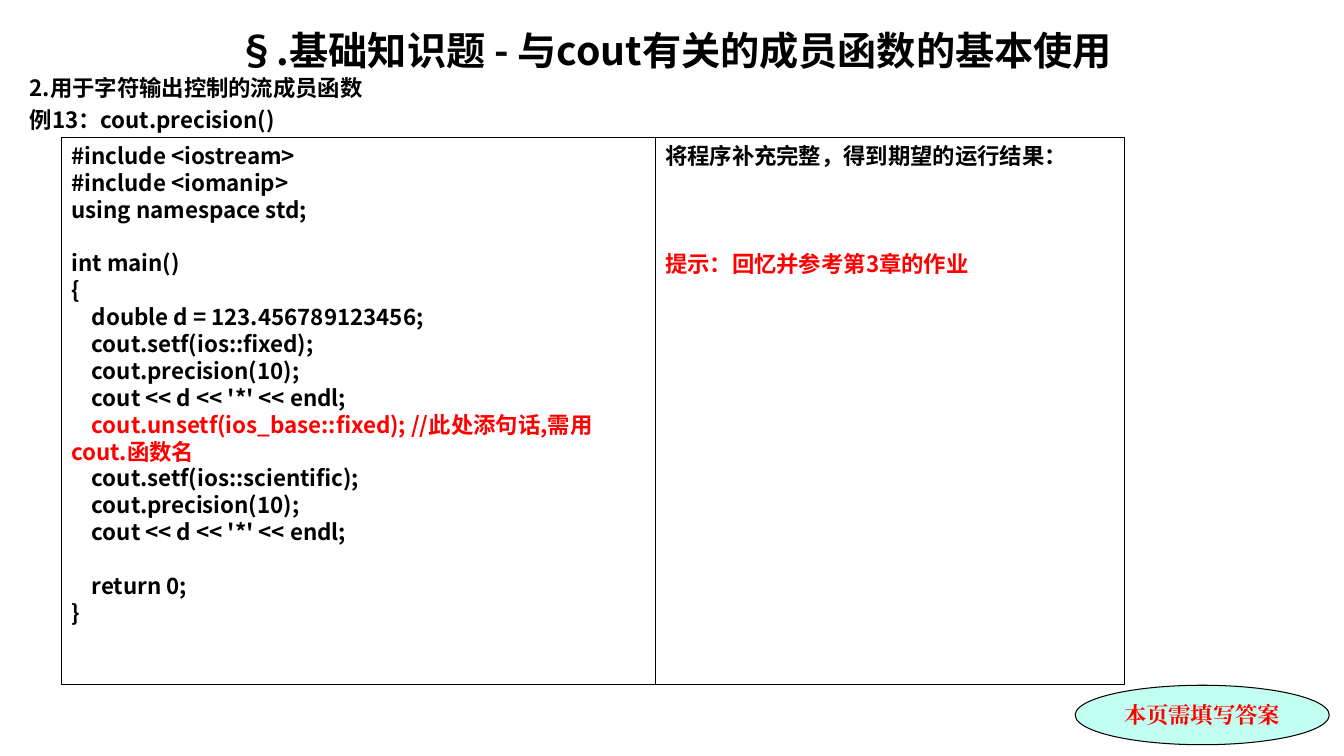
"""Build the slide on the cout.precision() exercise."""
from dataclasses import dataclass

from lxml import etree
from pptx import Presentation
from pptx import util as u
from pptx.dml.color import RGBColor
from pptx.enum import shapes, text
from pptx.oxml.ns import qn

BLACK = RGBColor(0x00, 0x00, 0x00)
RED = RGBColor(0xFF, 0x00, 0x00)
MINT = RGBColor(0xC2, 0xFF, 0xF0)
SANS = "Noto Sans CJK SC"
SERIF = "Times New Roman"
LEADING = 1.2
BODY_SIZE = 16
LINE = BODY_SIZE * LEADING
PANEL_TOP, PANEL_HEIGHT = 98, 391


@dataclass(frozen=True)
class Line:
    words: str
    color: RGBColor = BLACK
    gap: float = 0


@dataclass(frozen=True)
class Panel:
    kind: shapes.MSO_SHAPE
    box: tuple[float, float, float, float]
    lines: list[Line]
    fill: RGBColor | None = None
    font: str = SANS
    align: text.PP_ALIGN = text.PP_ALIGN.LEFT
    anchor: text.MSO_ANCHOR = text.MSO_ANCHOR.TOP


HEADING = [Line("§.基础知识题 - 与cout有关的成员函数的基本使用")]
TOPICS = [Line("2.用于字符输出控制的流成员函数"), Line("例13：cout.precision()", gap=3.6)]
CODE = [
    Line("#include <iostream>"),
    Line("#include <iomanip>"),
    Line("using namespace std;"),
    Line("int main()", gap=LINE),
    Line("{"),
    Line("    double d = 123.456789123456;"),
    Line("    cout.setf(ios::fixed);"),
    Line("    cout.precision(10);"),
    Line("    cout << d << '*' << endl;"),
    Line("    cout.unsetf(ios_base::fixed); //此处添句话,需用cout.函数名", RED),
    Line("    cout.setf(ios::scientific);"),
    Line("    cout.precision(10);"),
    Line("    cout << d << '*' << endl;"),
    Line("    return 0;", gap=LINE),
    Line("}"),
]
TASK = [
    Line("将程序补充完整，得到期望的运行结果："),
    Line("提示：回忆并参考第3章的作业", RED, 3 * LINE),
]
PANELS = [
    Panel(shapes.MSO_SHAPE.RECTANGLE, (44, PANEL_TOP, 424, PANEL_HEIGHT), CODE),
    Panel(shapes.MSO_SHAPE.OVAL, (768, 489.5, 181.5, 42.5),
          [Line("本页需填写答案", RED)], MINT, SERIF,
          text.PP_ALIGN.CENTER, text.MSO_ANCHOR.MIDDLE),
    Panel(shapes.MSO_SHAPE.RECTANGLE, (468, PANEL_TOP, 335.5, PANEL_HEIGHT), TASK),
]


def write(holder, lines: list[Line], size: float = BODY_SIZE, font: str = SANS,
          align: text.PP_ALIGN = text.PP_ALIGN.LEFT,
          anchor: text.MSO_ANCHOR = text.MSO_ANCHOR.TOP) -> None:
    frame = holder.text_frame
    frame.text = "\n".join(line.words for line in lines)
    frame.word_wrap = True
    frame.auto_size = text.MSO_AUTO_SIZE.NONE
    frame.vertical_anchor = anchor
    for line, paragraph in zip(lines, frame.paragraphs):
        properties = paragraph._p.get_or_add_pPr()
        properties.set("marL", "0")
        properties.set("indent", "0")
        etree.SubElement(properties, qn("a:buNone"))
        paragraph.alignment = align
        paragraph.line_spacing = u.Pt(size * LEADING)
        paragraph.space_before = u.Pt(line.gap)
        for run in paragraph.runs:
            run.font.name = font
            run.font.size = u.Pt(size)
            run.font.bold = True
            run.font.color.rgb = line.color
            east_asian = etree.SubElement(run._r.get_or_add_rPr(), qn("a:ea"))
            east_asian.set("typeface", font)


def place(holder, left: float, top: float, width: float, height: float) -> None:
    holder.left, holder.top = u.Pt(left), u.Pt(top)
    holder.width, holder.height = u.Pt(width), u.Pt(height)


def draw(slide, panel: Panel) -> None:
    shape = slide.shapes.add_shape(panel.kind, *map(u.Pt, panel.box))
    shape.shadow.inherit = False
    if panel.fill is None:
        shape.fill.background()
    else:
        shape.fill.solid()
        shape.fill.fore_color.rgb = panel.fill
    shape.line.color.rgb = BLACK
    shape.line.width = u.Pt(0.75)
    write(shape, panel.lines, font=panel.font, align=panel.align, anchor=panel.anchor)


def main() -> None:
    deck = Presentation()
    deck.slide_width, deck.slide_height = u.Pt(960), u.Pt(540)
    slide = deck.slides.add_slide(deck.slide_layouts[1])
    heading, topics = slide.placeholders
    place(heading, 14, 13, 936, 45)
    write(heading, HEADING, 28, align=text.PP_ALIGN.CENTER,
          anchor=text.MSO_ANCHOR.MIDDLE)
    place(topics, 14, 49.7, 936, 48)
    write(topics, TOPICS)
    for panel in PANELS:
        draw(slide, panel)
    deck.save("out.pptx")


if __name__ == "__main__":
    main()
